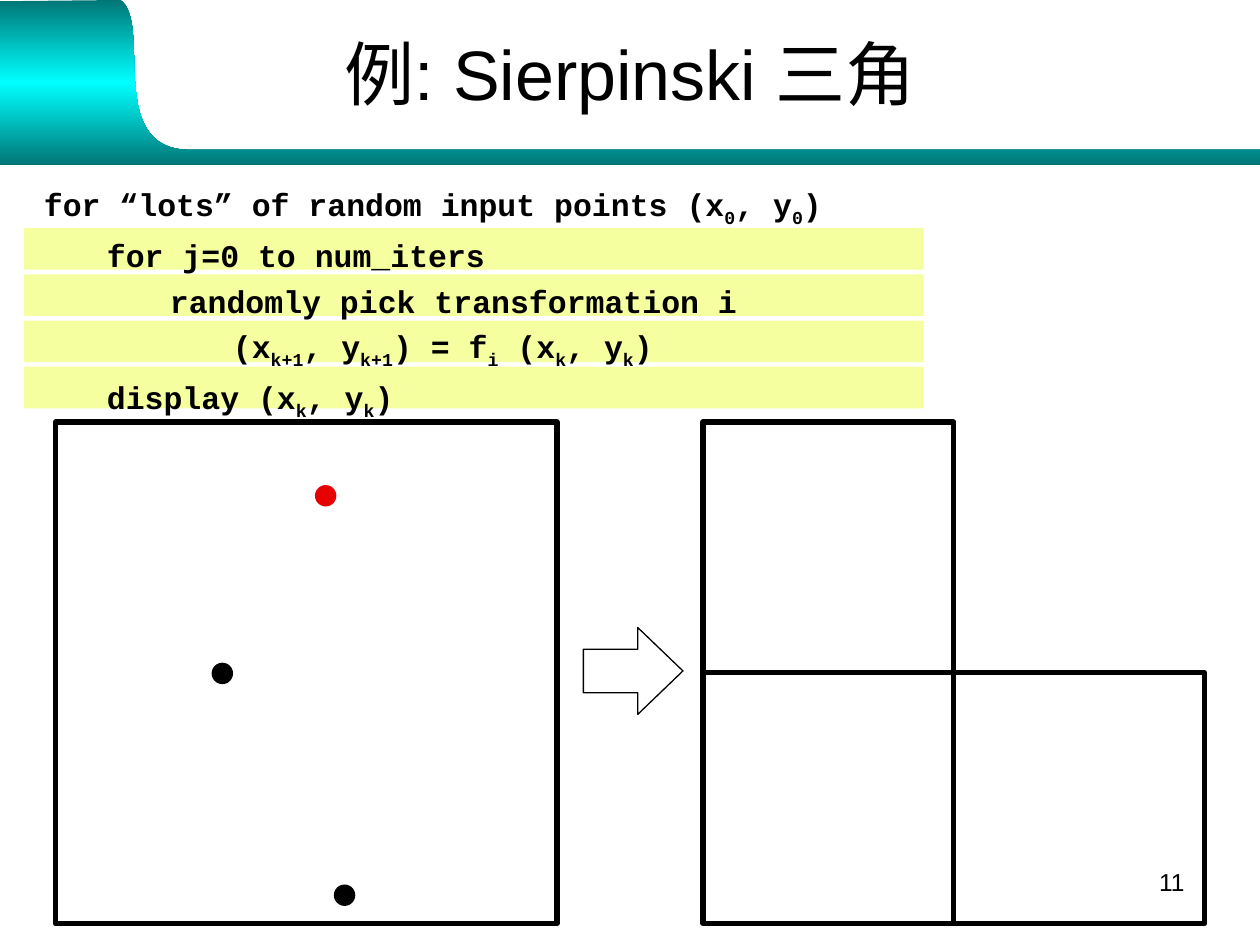
from dataclasses import dataclass

from lxml import etree
from pptx import Presentation
from pptx.dml.color import RGBColor
from pptx.enum.shapes import MSO_SHAPE as Shape
from pptx.enum.text import MSO_ANCHOR as Anchor, PP_ALIGN as Align
from pptx.oxml.ns import qn
from pptx.util import Inches, Pt


@dataclass(frozen=True)
class Theme:
    ink: RGBColor = RGBColor(0, 0, 0)
    red: RGBColor = RGBColor(0xE6, 0x02, 0x02)
    band: RGBColor = RGBColor(0xF6, 0xFF, 0x9F)
    teal: RGBColor = RGBColor(0x00, 0x76, 0x76)
    cyan: RGBColor = RGBColor(0x00, 0xFF, 0xFF)
    sans: str = "Arial"
    mono: str = "Courier New"
    title: Pt = Pt(40)
    code: Pt = Pt(18)
    number: Pt = Pt(14)
    thick: Pt = Pt(3)
    thin: Pt = Pt(0.75)


THEME = Theme()

# Each line: indent level, then pieces alternating normal and subscript
CODE = [
    (0, ["for “lots” of random input points (x", "0", ", y", "0", ")"]),
    (1, ["for j=0 to num_iters"]),
    (2, ["randomly pick transformation i"]),
    (3, ["(x", "k+1", ", y", "k+1", ") = f", "i", " (x", "k", ", y", "k", ")"]),
    (1, ["display (x", "k", ", y", "k", ")"]),
]


def add_run(paragraph, text, size, face, bold=False):
    run = paragraph.add_run()
    run.text = text
    run.font.size, run.font.name, run.font.bold = size, face, bold
    run.font.color.rgb = THEME.ink
    return run


def add_figure(slide, kind, left, top, width, height, fill=None, line=None):
    figure = slide.shapes.add_shape(
        kind, Inches(left), Inches(top), Inches(width), Inches(height))
    figure.shadow.inherit = False
    if fill is None:
        figure.fill.background()
    else:
        figure.fill.solid()
        figure.fill.fore_color.rgb = fill
    if line is None:
        figure.line.fill.background()
    else:
        figure.line.color.rgb = THEME.ink
        figure.line.width = line
    return figure


def add_text_box(slide, left, top, width, height):
    frame = slide.shapes.add_textbox(
        Inches(left), Inches(top), Inches(width), Inches(height)).text_frame
    frame.word_wrap = True
    return frame


def bezier(points, steps=40):
    for step in range(steps + 1):
        t = step / steps
        weights = ((1 - t) ** 3, 3 * t * (1 - t) ** 2, 3 * t * t * (1 - t), t ** 3)
        yield tuple(sum(w * p[axis] for w, p in zip(weights, points))
                    for axis in (0, 1))


def add_banner(slide, left, top, width, height):
    """Teal corner tab that sweeps down into a thin rule."""
    rule_top = height - 0.12
    sweep = bezier([(0.96, 0), (1.21, 0.2), (0.83, rule_top), (1.51, rule_top)])
    outline = [(0, 0.01), *sweep, (width, rule_top), (width, height)]
    builder = slide.shapes.build_freeform(0, Inches(height), scale=1.0)
    builder.add_line_segments([(Inches(x), Inches(y)) for x, y in outline])
    banner = builder.convert_to_shape(Inches(left), Inches(top))
    banner.shadow.inherit = False
    banner.line.fill.background()
    banner.fill.gradient()
    banner.fill.gradient_angle = 90
    stops = banner._element.spPr.find(qn("a:gradFill")).find(qn("a:gsLst"))
    for stop in list(stops):
        stops.remove(stop)
    for position, color in ((0, THEME.teal), (50, THEME.cyan), (100, THEME.teal)):
        stop = etree.SubElement(stops, qn("a:gs"), pos=str(position * 1000))
        etree.SubElement(stop, qn("a:srgbClr"), val=str(color))
    # Keep the banner behind the title
    slide.shapes._spTree.insert(2, banner._element)


def set_title(slide, left, top, width, height):
    title = slide.shapes.title
    title.left, title.top = Inches(left), Inches(top)
    title.width, title.height = Inches(width), Inches(height)
    title.text_frame.vertical_anchor = Anchor.MIDDLE
    heading = title.text_frame.paragraphs[0]
    heading.alignment = Align.CENTER
    add_run(heading, "例: Sierpinski 三角", THEME.title, THEME.sans)


def add_code(slide, left, top, width, height):
    # Highlight bands behind the loop body
    for row in range(4):
        add_figure(slide, Shape.RECTANGLE, left, top + 0.39 + row * 0.367,
                   width, 0.33, fill=THEME.band)
    # Pseudocode
    frame = add_text_box(slide, left + 0.06, top, width - 0.31, height)
    for index, (level, pieces) in enumerate(CODE):
        line = frame.add_paragraph() if index else frame.paragraphs[0]
        line.level = level
        properties = line._p.get_or_add_pPr()
        properties.set("marL", str(Inches(0.5 * level)))
        properties.set("indent", "0")
        line.space_before = Pt(4.5 if index else 0)
        for place, piece in enumerate(pieces):
            run = add_run(line, piece, THEME.code, THEME.mono, bold=True)
            if place % 2:
                run._r.get_or_add_rPr().set("baseline", "-25000")


def add_input_square(slide, left, top, side):
    dot = 0.17
    for x, y, color in ((1.24, 1.91, THEME.ink), (2.06, 0.5, THEME.red),
                        (2.21, 3.67, THEME.ink)):
        add_figure(slide, Shape.OVAL, left + x, top + y, dot, dot, fill=color)
    add_figure(slide, Shape.RECTANGLE, left, top, side, side, line=THEME.thick)


def add_arrow(slide, left, top, width, height):
    arrow = add_figure(slide, Shape.RIGHT_ARROW, left, top, width, height,
                       line=THEME.thin)
    arrow.adjustments[0], arrow.adjustments[1] = 0.5, 0.52


def add_output_squares(slide, left, top, side):
    """Three half-size squares in an L."""
    half = side / 2
    for column, row in ((0, 1), (1, 1), (0, 0)):
        add_figure(slide, Shape.RECTANGLE, left + column * half,
                   top + row * half, half, half, line=THEME.thick)


def add_slide_number(slide, left, top, width, height):
    number = add_text_box(slide, left, top, width, height).paragraphs[0]
    number.alignment = Align.RIGHT
    add_run(number, "11", THEME.number, THEME.sans)


def main():
    deck = Presentation()
    deck.slide_width, deck.slide_height = Inches(10), Inches(7.5)
    slide = deck.slides.add_slide(deck.slide_layouts[5])
    add_banner(slide, 0, 0, 10, 1.31)
    set_title(slide, 0.5, 0, 9, 1.15)
    add_slide_number(slide, 7.17, 6.83, 2.33, 0.52)
    add_code(slide, 0.19, 1.42, 7.14, 1.98)
    add_input_square(slide, 0.44, 3.35, 3.98)
    add_arrow(slide, 4.63, 4.98, 0.79, 0.69)
    add_output_squares(slide, 5.58, 3.35, 3.98)
    deck.save("out.pptx")


if __name__ == "__main__":
    main()
